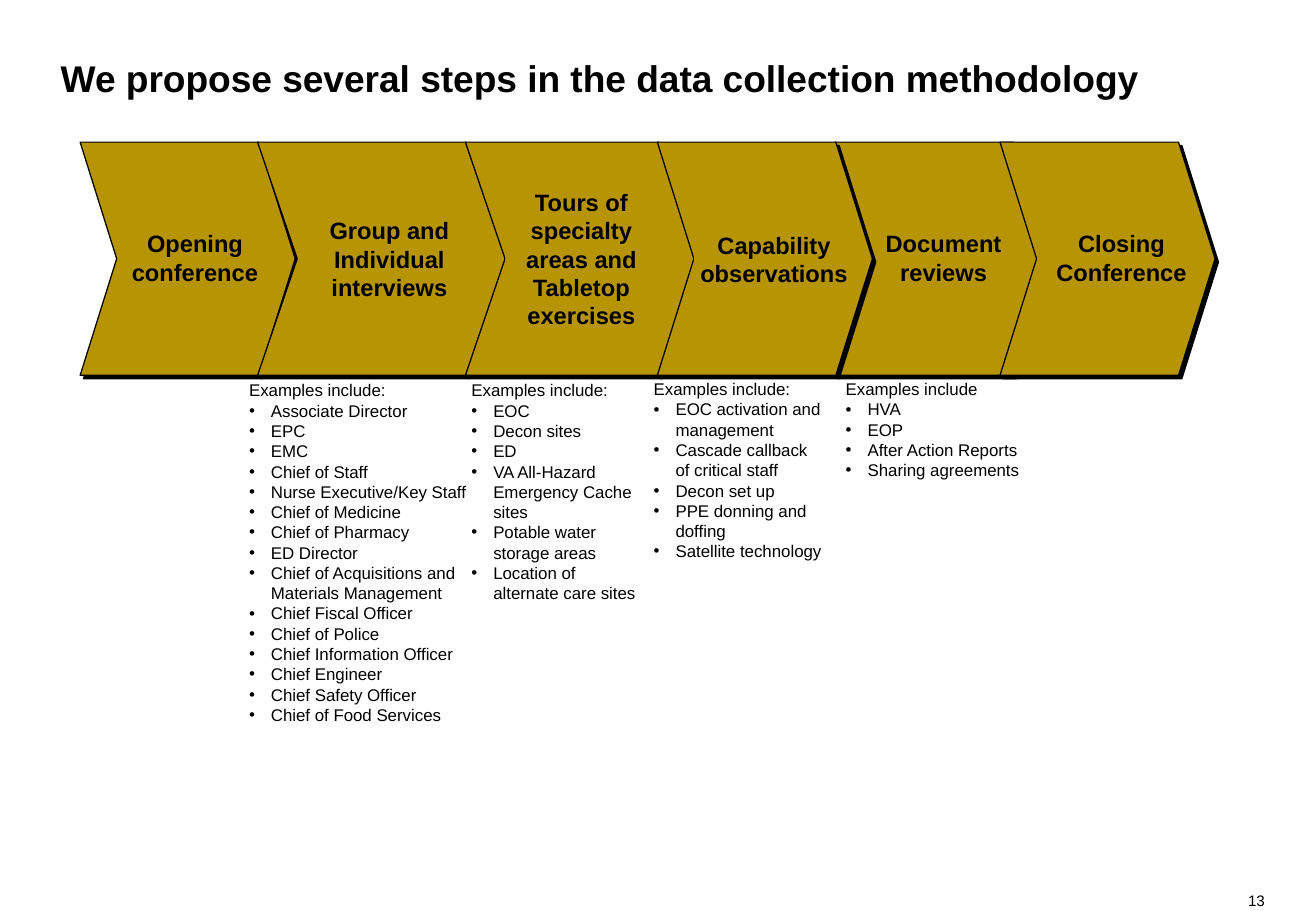
from lxml import etree
from pptx import Presentation
from pptx import util as u
from pptx.dml.color import RGBColor
from pptx.enum import shapes, text
from pptx.oxml import ns

SCALE = 9144
FONT = "Arial"
COLOURS = {"ink": "000000", "gold": "B69404", "paper": "FFFFFF"}
CHEVRON_TOP, CHEVRON_HEIGHT = 117, 192
SHADOW_DISTANCE = u.Pt(2.8)
SHADOW_ANGLE = 45 * 60000
BULLET_INDENT = 18

STEPS = [
    ("Opening conference", (66, 177), (98, 189, 125, 46)),
    ("Group and Individual interviews", (212, 204), (258, 178, 125, 70)),
    ("Tours of specialty areas and Tabletop exercises", (383, 192), (416, 155, 125, 116)),
    ("Document reviews", (687, 177), (714, 189, 125, 46)),
    ("Capability observations", (541, 177), (571, 190, 132, 47)),
    ("Closing Conference", (823, 177), (857, 189, 132, 46)),
]

EXAMPLES = [
    ((200, 308, 200, 293), "Examples include:", [
        "Associate Director", "EPC", "EMC", "Chief of Staff",
        "Nurse Executive/Key Staff", "Chief of Medicine", "Chief of Pharmacy",
        "ED Director", "Chief of Acquisitions and Materials Management",
        "Chief Fiscal Officer", "Chief of Police", "Chief Information Officer",
        "Chief Engineer", "Chief Safety Officer", "Chief of Food Services",
    ]),
    ((383, 308, 150, 210), "Examples include:", [
        "EOC", "Decon sites", "ED", "VA All-Hazard Emergency Cache sites",
        "Potable water storage areas", "Location of alternate care sites",
    ]),
    ((533, 307, 150, 227), "Examples include:", [
        "EOC activation and management", "Cascade callback of critical staff",
        "Decon set up", "PPE donning and doffing", "Satellite technology",
    ]),
    ((691, 307, 175, 160), "Examples include", [
        "HVA", "EOP", "After Action Reports", "Sharing agreements",
    ]),
]


def px(length):
    return u.Emu(length * SCALE)


def colour(name):
    return RGBColor.from_string(COLOURS[name])


def style_paragraph(para, size, bold=False):
    para.font.name = FONT
    para.font.size = u.Pt(size)
    para.font.bold = bold
    para.font.color.rgb = colour("ink")


def add_box(page, place, inset=0, anchor=text.MSO_ANCHOR.TOP, wrap=True):
    box = page.shapes.add_textbox(*map(px, place))
    frame = box.text_frame
    frame.word_wrap = wrap
    frame.vertical_anchor = anchor
    frame.margin_left = frame.margin_right = px(inset)
    frame.margin_top = frame.margin_bottom = px(inset)
    return box


def add_title(page, words):
    box = add_box(page, (50, 33, 983, 50), anchor=text.MSO_ANCHOR.BOTTOM)
    para = box.text_frame.paragraphs[0]
    para.text = words
    para.line_spacing = 0.9
    style_paragraph(para, 22, bold=True)


def add_page_number(page, number):
    box = add_box(page, (1026, 734, 15, 15), wrap=False)
    para = box.text_frame.paragraphs[0]
    para.text = number
    para.alignment = text.PP_ALIGN.RIGHT
    style_paragraph(para, 9)


def add_hard_shadow(shape):
    shape.shadow.inherit = False
    effects = shape._element.spPr.find(ns.qn("a:effectLst"))
    shadow = etree.SubElement(
        effects, ns.qn("a:outerShdw"),
        dist=str(int(SHADOW_DISTANCE)), dir=str(SHADOW_ANGLE),
        algn="ctr", rotWithShape="0")
    etree.SubElement(shadow, ns.qn("a:srgbClr"), val=COLOURS["ink"])


def add_chevron(page, left, width):
    chevron = page.shapes.add_shape(
        shapes.MSO_SHAPE.CHEVRON,
        *map(px, (left, CHEVRON_TOP, width, CHEVRON_HEIGHT)))
    chevron.adjustments[0] = 0.17
    chevron.fill.solid()
    chevron.fill.fore_color.rgb = colour("gold")
    chevron.line.color.rgb = colour("ink")
    chevron.line.width = u.Pt(0.75)
    add_hard_shadow(chevron)


def add_step_label(page, place, words):
    box = add_box(page, place, anchor=text.MSO_ANCHOR.MIDDLE)
    box.fill.solid()
    box.fill.fore_color.rgb = colour("gold")
    para = box.text_frame.paragraphs[0]
    para.text = words
    para.alignment = text.PP_ALIGN.CENTER
    style_paragraph(para, 14, bold=True)


def add_bullet(para):
    properties = para._p.get_or_add_pPr()
    etree.SubElement(properties, ns.qn("a:buFont"), typeface=FONT)
    etree.SubElement(properties, ns.qn("a:buChar"), char="•")


def add_examples(page, place, heading, items):
    frame = add_box(page, place, inset=5).text_frame
    for index, words in enumerate([heading, *items]):
        para = frame.add_paragraph() if index else frame.paragraphs[0]
        para.text = words
        properties = para._p.get_or_add_pPr()
        properties.set("marL", str(px(BULLET_INDENT)))
        properties.set("indent", str(px(-BULLET_INDENT)))
        if index:
            add_bullet(para)
        style_paragraph(para, 10)


def main():
    deck = Presentation()
    deck.slide_width, deck.slide_height = px(1083), px(750)
    page = deck.slides.add_slide(deck.slide_layouts[6])
    page.background.fill.solid()
    page.background.fill.fore_color.rgb = colour("paper")
    add_page_number(page, "13")
    add_title(page, "We propose several steps in the data collection methodology")
    for words, (left, width), label_place in STEPS:
        add_chevron(page, left, width)
        add_step_label(page, label_place, words)
    for place, heading, items in EXAMPLES:
        add_examples(page, place, heading, items)
    deck.save("out.pptx")


if __name__ == "__main__":
    main()
